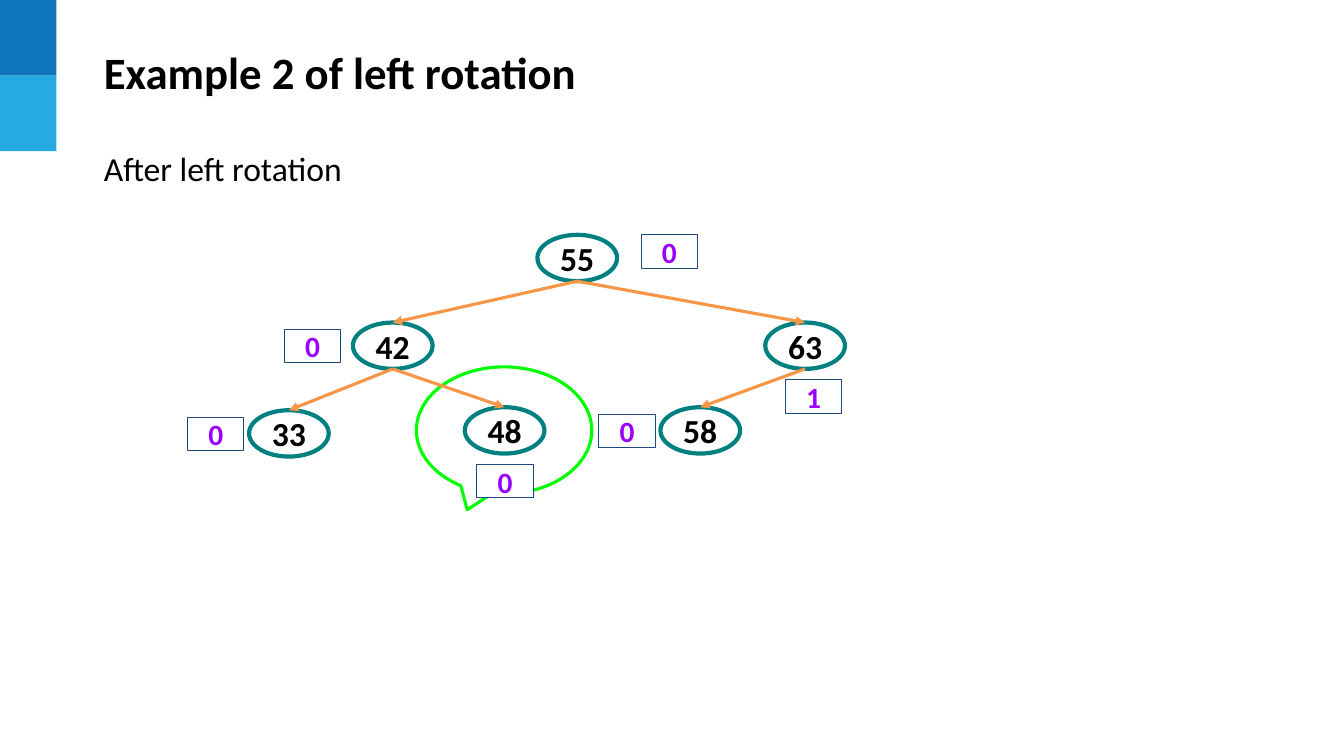
from dataclasses import dataclass

import pptx
import pptx.dml.color
import pptx.enum.shapes
import pptx.enum.text
import pptx.oxml
import pptx.oxml.ns
import pptx.util
from pptx.util import Inches

SHAPE = pptx.enum.shapes.MSO_SHAPE
ALIGN = pptx.enum.text.PP_ALIGN
ANCHOR = pptx.enum.text.MSO_ANCHOR


@dataclass(frozen=True)
class Theme:
    font: str = "Calibri"
    title_size: int = 32
    text_size: int = 24
    balance_size: int = 21
    text: str = "000000"
    white: str = "FFFFFF"
    dark_blue: str = "0F75BD"
    light_blue: str = "25AAE2"
    node_line: str = "008080"
    edge: str = "F79646"
    balance_line: str = "1F497D"
    balance: str = "9900FF"
    callout: str = "00FF00"


THEME = Theme()
NODE_W, NODE_H = 0.79, 0.46
BALANCE_W, BALANCE_H = 0.56, 0.33

# key: (node left, node top, balance factor, balance left, balance top)
NODES = {
    "55": (5.33, 2.33, "0", 6.36, 2.33),
    "42": (3.5, 3.2, "0", 2.82, 3.27),
    "63": (7.59, 3.2, "1", 7.79, 3.77),
    "33": (2.47, 4.07, "0", 1.86, 4.14),
    "48": (4.61, 4.04, "0", 4.73, 4.61),
    "58": (6.55, 4.04, "0", 5.94, 4.11),
}
EDGES = [("55", "42"), ("55", "63"), ("42", "33"), ("42", "48"), ("63", "58")]


def rgb(color):
    return pptx.dml.color.RGBColor.from_string(color)


def write(sp, text, size, color, bold, align, anchor, inset_y):
    tf = sp.text_frame
    tf.vertical_anchor = anchor
    tf.margin_left = tf.margin_right = Inches(0.1)
    tf.margin_top = tf.margin_bottom = Inches(inset_y)
    p = tf.paragraphs[0]
    p.alignment = align
    r = p.add_run()
    r.text = text
    r.font.name = THEME.font
    r.font.size = pptx.util.Pt(size)
    r.font.bold = bold
    r.font.color.rgb = rgb(color)
    return p


def place(sp, left, top, width, height):
    sp.left, sp.top = Inches(left), Inches(top)
    sp.width, sp.height = Inches(width), Inches(height)


def add_shape(s, kind, left, top, width, height, fill, line=None, weight=0):
    sp = s.shapes.add_shape(kind, Inches(left), Inches(top),
                            Inches(width), Inches(height))
    sp.shadow.inherit = False
    sp.fill.solid()
    sp.fill.fore_color.rgb = rgb(fill)
    if line:
        sp.line.color.rgb = rgb(line)
        sp.line.width = pptx.util.Pt(weight)
    else:
        sp.line.fill.background()
    return sp


def add_node(s, key, left, top):
    sp = add_shape(s, SHAPE.OVAL, left, top, NODE_W, NODE_H,
                   THEME.white, THEME.node_line, 3)
    write(sp, key, THEME.text_size, THEME.text, True,
          ALIGN.CENTER, ANCHOR.MIDDLE, 0.05)
    sp.text_frame.word_wrap = False
    return sp


def add_balance(s, value, left, top):
    sp = add_shape(s, SHAPE.RECTANGLE, left, top, BALANCE_W, BALANCE_H,
                   THEME.white, THEME.balance_line, 0.75)
    write(sp, value, THEME.balance_size, THEME.balance, True,
          ALIGN.CENTER, ANCHOR.MIDDLE, 0.1)


def add_edge(s, parent, child):
    """Draw an arrow from the bottom of parent to the top of child."""
    line = s.shapes.add_connector(
        pptx.enum.shapes.MSO_CONNECTOR.STRAIGHT,
        parent.left + parent.width // 2, parent.top + parent.height,
        child.left + child.width // 2, child.top)
    line.end_connect(child, 0)
    line.line.color.rgb = rgb(THEME.edge)
    line.line.width = pptx.util.Pt(2.25)
    ns = pptx.oxml.ns.nsdecls("a")
    line.line._get_or_add_ln().append(
        pptx.oxml.parse_xml(f'<a:tailEnd {ns} type="triangle"/>'))
    line._element.spPr.append(pptx.oxml.parse_xml(f"<a:effectLst {ns}/>"))


def add_headings(s):
    title, body = s.shapes.title, s.placeholders[1]
    place(title, 0.93, 0.39, 11.62, 0.64)
    write(title, "Example 2 of left rotation", THEME.title_size, THEME.text,
          True, ALIGN.LEFT, ANCHOR.MIDDLE, 0.05)
    place(body, 0.93, 1.37, 11.57, 0.61)
    p = write(body, "After left rotation", THEME.text_size, THEME.text,
              False, ALIGN.LEFT, ANCHOR.TOP, 0.1)
    p.space_before = pptx.util.Pt(0)
    pPr = p._p.get_or_add_pPr()
    pPr.set("marL", "0")
    pPr.set("indent", "0")
    pPr.append(pptx.oxml.parse_xml(f'<a:buNone {pptx.oxml.ns.nsdecls("a")}/>'))
    for sp in (title, body):
        sp.text_frame.word_wrap = True
        sp.text_frame.auto_size = pptx.enum.text.MSO_AUTO_SIZE.SHAPE_TO_FIT_TEXT


def add_tree(s):
    callout = add_shape(s, SHAPE.OVAL_CALLOUT, 4.13, 3.64, 1.74, 1.26,
                        THEME.white, THEME.callout, 2.25)
    callout.adjustments[0] = -0.21
    callout.adjustments[1] = 0.625
    nodes = {key: add_node(s, key, left, top)
             for key, (left, top, *_) in NODES.items()}
    for parent, child in EDGES:
        add_edge(s, nodes[parent], nodes[child])
    for *_, value, left, top in NODES.values():
        add_balance(s, value, left, top)


def main():
    prs = pptx.Presentation()
    prs.slide_width, prs.slide_height = Inches(13.33), Inches(7.5)
    s = prs.slides.add_slide(prs.slide_layouts[1])
    for i, color in enumerate((THEME.dark_blue, THEME.light_blue)):
        add_shape(s, SHAPE.RECTANGLE, 0, 0.75 * i, 0.56, 0.75, color)
    add_headings(s)
    add_tree(s)
    prs.save("out.pptx")


if __name__ == "__main__":
    main()
